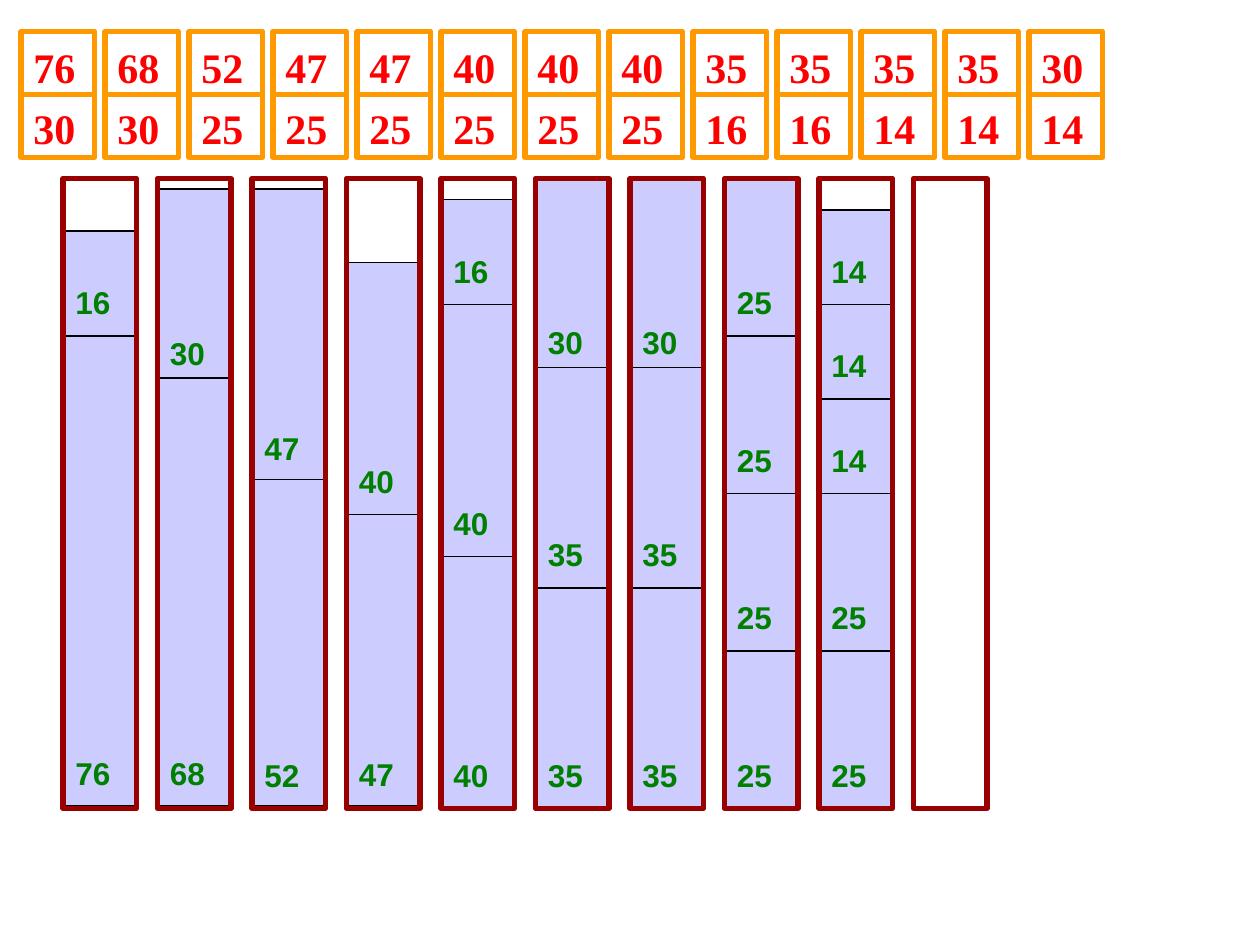
from pptx import Presentation
from pptx.dml.color import RGBColor
from pptx.enum.shapes import MSO_SHAPE
from pptx.oxml.xmlchemy import OxmlElement
from pptx.util import Pt

ITEMS = [
    [76, 68, 52, 47, 47, 40, 40, 40, 35, 35, 35, 35, 30],
    [30, 30, 25, 25, 25, 25, 25, 25, 16, 16, 14, 14, 14],
]
BINS = [
    [(76, 320), (16, 220)],
    [(68, 360), (30, 180)],
    [(52, 450), (47, 180)],
    [(47, 490), (40, 250)],
    [(40, 530), (40, 290), (16, 190)],
    [(35, 560), (35, 350), (30, 170)],
    [(35, 560), (35, 350), (30, 170)],
    [(25, 620), (25, 470), (25, 320), (25, 170)],
    [(25, 620), (25, 470), (14, 380), (14, 290), (14, 200)],
    [],
]
TALL = {76: 447, 68: 407, 52: 317, 47: 277, 40: 240,
        35: 210, 30: 180, 25: 150, 16: 100, 14: 90}
LIFT = {76: 59, 68: 59, 52: 57, 47: 58, 30: 52}

RED = RGBColor(0xFF, 0x00, 0x00)
GREEN = RGBColor(0x00, 0x80, 0x00)
ORANGE = RGBColor(0xFF, 0x99, 0x00)
MAROON = RGBColor(0x99, 0x00, 0x00)
LILAC = RGBColor(0xCC, 0xCC, 0xFF)
BLACK = RGBColor(0x00, 0x00, 0x00)

WIDE = 70
CELL_X, CELL_Y, CELL_STEP, CELL_H = 20, 30, 80, 60
BIN_X, BIN_Y, BIN_STEP, BIN_H = 60, 170, 90, 600


def px(n):
    return n * 7620


def add_box(shapes, x, y, high, line, width, fill=None):
    box = shapes.add_shape(MSO_SHAPE.RECTANGLE, px(x), px(y), px(WIDE), px(high))
    box.shadow.inherit = False
    if fill is None:
        box.fill.background()
    else:
        box.fill.solid()
        box.fill.fore_color.rgb = fill
    box.line.color.rgb = line
    box.line.width = Pt(width)


def add_text(shapes, x, y, wide, high):
    frame = shapes.add_textbox(px(x), px(y), px(wide), px(high)).text_frame
    frame.word_wrap = True
    frame.margin_top = px(10)
    return frame


def set_font(para, name, size, color):
    para.font.name = name
    para.font.size = Pt(size)
    para.font.bold = True
    para.font.color.rgb = color


def add_tabs(para, count):
    tabs = OxmlElement("a:tabLst")
    for i in range(1, count):
        tab = OxmlElement("a:tab")
        tab.set("pos", str(px(i * CELL_STEP)))
        tab.set("algn", "l")
        tabs.append(tab)
    para._p.get_or_add_pPr().append(tabs)


def add_items(shapes):
    frame = add_text(shapes, CELL_X, CELL_Y, 1150, 120)
    for r, row in enumerate(ITEMS):
        para = frame.add_paragraph() if r else frame.paragraphs[0]
        para.text = "\t".join(map(str, row))
        add_tabs(para, len(row))
        if r:
            para.space_before = Pt(6)
        set_font(para, "Times New Roman", 24, RED)
        for c in range(len(row)):
            add_box(shapes, CELL_X + c * CELL_STEP, CELL_Y + r * CELL_H,
                    CELL_H, ORANGE, 3)


def add_bin(shapes, x, stack):
    for size, top in stack:
        group = shapes.add_group_shape().shapes
        add_box(group, x, top, TALL[size], BLACK, 0.75, LILAC)
        low = top + TALL[size] - LIFT.get(size, 60)
        para = add_text(group, x, low, 80, 60).paragraphs[0]
        para.text = str(size)
        set_font(para, "Arial", 18, GREEN)
    add_box(shapes, x, BIN_Y, BIN_H, MAROON, 3)


def main():
    deck = Presentation()
    deck.slide_width, deck.slide_height = px(1200), px(900)
    shapes = deck.slides.add_slide(deck.slide_layouts[6]).shapes
    add_items(shapes)
    for i, stack in enumerate(BINS):
        add_bin(shapes, BIN_X + i * BIN_STEP, stack)
    deck.save("out.pptx")


if __name__ == "__main__":
    main()
